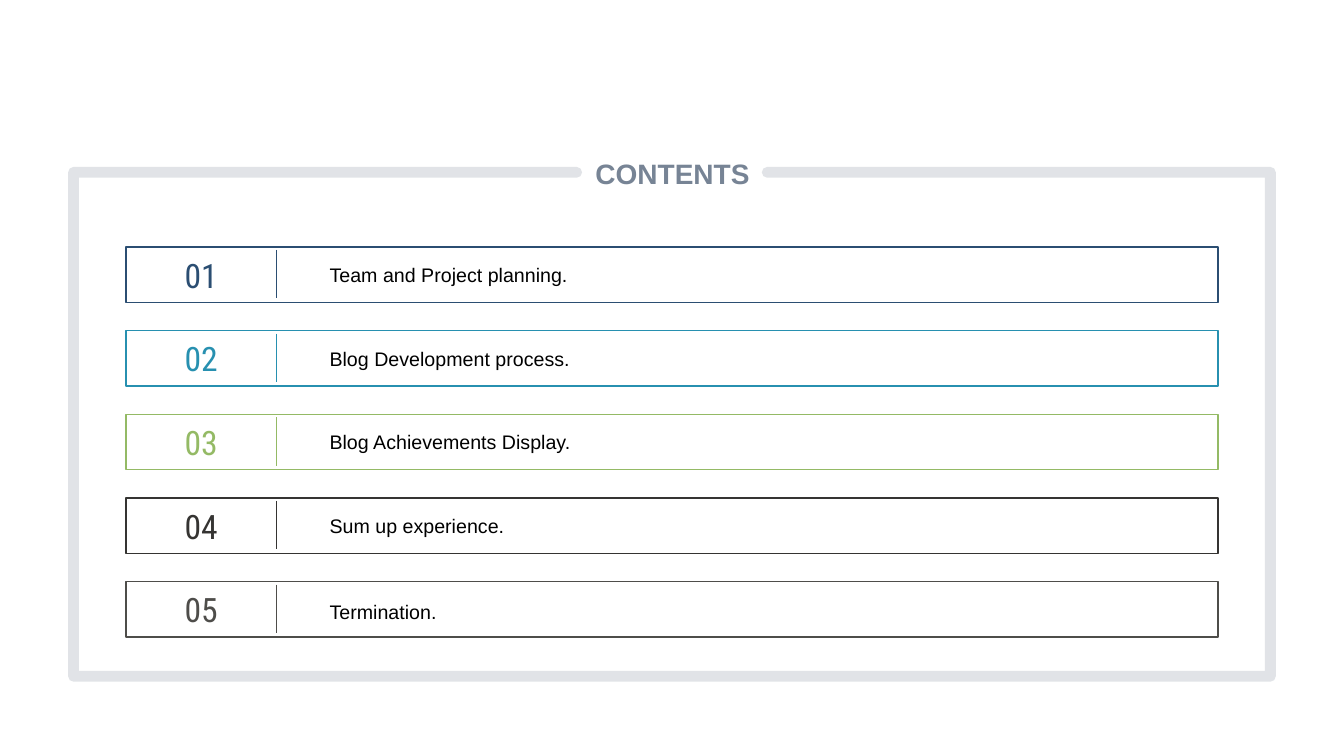
from lxml import etree
from pptx import Presentation
from pptx.dml.color import RGBColor
from pptx.enum.shapes import MSO_CONNECTOR, MSO_SHAPE
from pptx.enum.text import MSO_ANCHOR, PP_ALIGN
from pptx.oxml.ns import qn
from pptx.util import Inches, Pt

STRAIGHT = MSO_CONNECTOR.STRAIGHT
RECTANGLE = MSO_SHAPE.RECTANGLE
MIDDLE = MSO_ANCHOR.MIDDLE
LEFT, CENTER = PP_ALIGN.LEFT, PP_ALIGN.CENTER

SLATE = RGBColor(0x77, 0x84, 0x95)
BLACK = RGBColor(0x00, 0x00, 0x00)
NAVY = RGBColor(0x2B, 0x4E, 0x72)
TEAL = RGBColor(0x27, 0x90, 0xB0)
GREEN = RGBColor(0x94, 0xBA, 0x65)
CHARCOAL = RGBColor(0x35, 0x34, 0x32)
GRAY = RGBColor(0x4E, 0x4D, 0x4A)

TOPICS = [
    ("Team and Project planning.", NAVY, 1),
    ("Blog Development process.", TEAL, 1),
    ("Blog Achievements Display.", GREEN, 1),
    ("Sum up experience.", CHARCOAL, 1),
    ("Termination.", GRAY, 1.2),
]
ROW_HEIGHT = 0.55
ROW_PITCH = 0.83
NUMBER_WIDTH = 1.49
TOPIC_OFFSET = 1.92


def add_label(slide, box, text, font_name, size, color, alignment=LEFT):
    """Add a vertically centred line of text and return its shape."""
    shape = slide.shapes.add_textbox(*map(Inches, box))
    shape.text_frame.word_wrap = True
    shape.text_frame.vertical_anchor = MIDDLE
    paragraph = shape.text_frame.paragraphs[0]
    paragraph.text = text
    paragraph.alignment = alignment
    paragraph.font.name = font_name
    paragraph.font.size = Pt(size)
    paragraph.font.color.rgb = color
    return shape


def add_frame(slide, left, top, width, height):
    """Draw the pale frame, open at the top around its heading."""
    right, bottom = left + width, top + height
    side = 4.99
    corners = [(right, top), (right, bottom), (left, bottom), (left, top),
               (left + side, top)]
    builder = slide.shapes.build_freeform(Inches(right - side), Inches(top))
    builder.add_line_segments(
        [(Inches(x), Inches(y)) for x, y in corners], close=False)
    frame = builder.convert_to_shape()
    frame.shadow.inherit = False
    frame.fill.background()
    frame.line.color.rgb = SLATE
    frame.line.width = Pt(7.75)
    outline = frame.line._get_or_add_ln()
    outline.set("cap", "rnd")
    color = outline.find(".//" + qn("a:srgbClr"))
    etree.SubElement(color, qn("a:alpha")).set("val", "21000")
    etree.SubElement(outline, qn("a:round"))

    heading_box = (left + 5.08, top - 0.33, 1.72, 0.67)
    heading = add_label(slide, heading_box, "CONTENTS", "Arial", 20, SLATE, CENTER)
    text_frame = heading.text_frame
    text_frame.margin_left = text_frame.margin_right = 0
    text_frame.margin_top = text_frame.margin_bottom = 0
    text_frame.paragraphs[0].font.bold = True


def add_row(slide, left, top, width, number, topic, color, line_spacing):
    """Draw one outlined row with its number, divider and topic."""
    outline = slide.shapes.add_shape(
        RECTANGLE, *map(Inches, (left, top, width, ROW_HEIGHT)))
    outline.shadow.inherit = False
    outline.fill.background()
    outline.line.color.rgb = color
    outline.line.width = Pt(1)

    add_label(slide, (left, top, NUMBER_WIDTH, ROW_HEIGHT), f"{number:02d}",
              "Roboto Condensed", 24, color, CENTER)

    divider_x = Inches(left + NUMBER_WIDTH)
    divider = slide.shapes.add_connector(
        STRAIGHT, divider_x, Inches(top + 0.03), divider_x, Inches(top + 0.51))
    divider.line.color.rgb = color
    divider.line.width = Pt(1)
    etree.SubElement(divider._element.spPr, qn("a:effectLst"))

    topic_box = (left + TOPIC_OFFSET, top, width - TOPIC_OFFSET, ROW_HEIGHT)
    label = add_label(slide, topic_box, topic, "Arial", 14, BLACK)
    if line_spacing != 1:
        label.text_frame.paragraphs[0].line_spacing = line_spacing


def add_contents(slide, left, top, width):
    """Stack the numbered topic rows at an even pitch."""
    for index, (topic, color, line_spacing) in enumerate(TOPICS):
        add_row(slide, left, top + index * ROW_PITCH, width, index + 1,
                topic, color, line_spacing)


def main():
    """Build and save the contents slide."""
    presentation = Presentation()
    presentation.slide_width = Inches(13.33)
    presentation.slide_height = Inches(7.5)
    slide = presentation.slides.add_slide(presentation.slide_layouts[6])
    add_frame(slide, 0.73, 1.71, 11.87, 5)
    add_contents(slide, 1.25, 2.45, 10.83)
    presentation.save("out.pptx")


if __name__ == "__main__":
    main()
